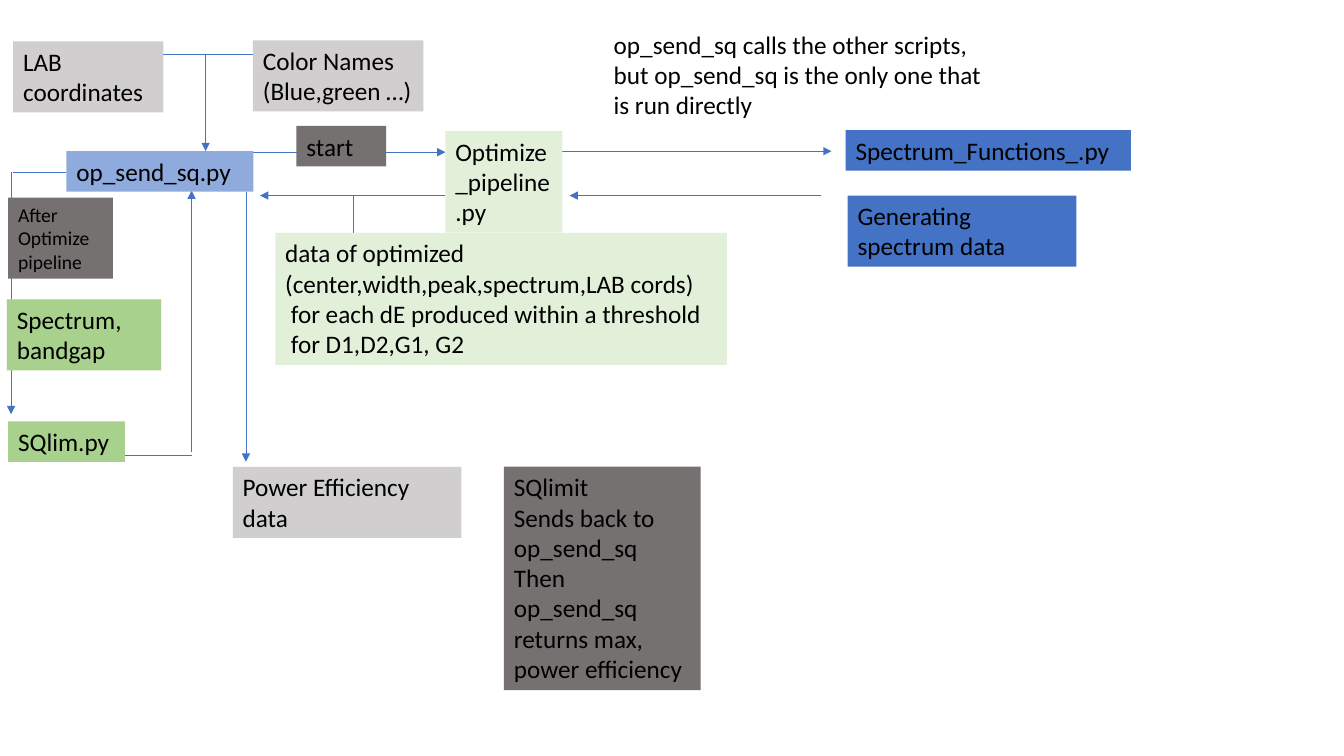
"""Draws the flow of calls and data between the op_send_sq scripts."""
from typing import NamedTuple, Optional

from lxml.etree import SubElement
from pptx import Presentation
from pptx.dml.color import RGBColor as Rgb
from pptx.enum.shapes import MSO_CONNECTOR as Conn, MSO_SHAPE as Form
from pptx.enum.text import MSO_ANCHOR as Anchor, PP_ALIGN as Align
from pptx.oxml.ns import qn
from pptx.slide import Slide
from pptx.util import Pt

BLACK = Rgb(0x00, 0x00, 0x00)
SILVER = Rgb(0xD0, 0xCE, 0xCE)
GREY = Rgb(0x76, 0x71, 0x71)
BLUE = Rgb(0x44, 0x72, 0xC4)
SKY = Rgb(0x8F, 0xAA, 0xDC)
GREEN = Rgb(0xA9, 0xD1, 0x8E)
MINT = Rgb(0xE2, 0xF0, 0xD9)

FONT = "Calibri"
PAD_X, PAD_Y = 7.2, 3.6
PITCH = 1.21


class Box(NamedTuple):
    left: float
    top: float
    width: float
    rows: int
    fill: Optional[Rgb]
    paras: tuple[str, ...]
    size: float = 18


class Link(NamedTuple):
    x1: float
    y1: float
    x2: float
    y2: float
    arrow: bool = True


LINKS = (
    Link(116.6, 38.9, 181.4, 38.9, False),
    Link(146.9, 38.9, 146.9, 108),
    Link(177.8, 108.7, 318.2, 108.7),
    Link(401, 108, 594, 108),
    Link(586.1, 139.7, 406.8, 139.7),
    Link(318.2, 139.7, 185.8, 139.7),
    Link(252.7, 166.3, 252.7, 139.7, False),
    Link(47.5, 123.1, 9.4, 123.1, False),
    Link(7.9, 123.1, 7.9, 295.9),
    Link(136.8, 325.4, 89.3, 325.4, False),
    Link(136.8, 322.6, 136.8, 136.1),
    Link(175.7, 137.5, 175.7, 329.8),
)

BOXES = (
    Box(9.4, 29.5, 107.3, 2, SILVER, ("LAB coordinates",)),
    Box(180.7, 28.8, 121.7, 2, SILVER, ("Color Names (Blue,green …)",)),
    Box(47.5, 108, 133.5, 1, SKY, ("op_send_sq.py",)),
    Box(318.2, 93.6, 83.5, 3, MINT, ("Optimize_pipeline.py",)),
    Box(196.6, 166.3, 322.6, 4, MINT, (
        "data of optimized (center,width,peak,spectrum,LAB cords)",
        " for each dE produced within a threshold",
        " for D1,D2,G1, G2")),
    Box(5, 213.8, 110.2, 2, GREEN, ("Spectrum, bandgap",)),
    Box(5.8, 301, 83.5, 1, GREEN, ("SQlim.py",)),
    Box(166.3, 333.4, 163.4, 2, SILVER, ("Power Efficiency data",)),
    Box(360, 333.4, 140.4, 7, GREY, (
        "SQlimit",
        "Sends back to op_send_sq",
        "Then op_send_sq returns max, power efficiency")),
    Box(431.3, 17.3, 288.7, 3, None, (
        "op_send_sq calls the other scripts, but op_send_sq "
        "is the only one that is run directly",)),
    Box(604.1, 92.9, 203.8, 1, BLUE, ("Spectrum_Functions_.py",)),
    Box(605.5, 139.7, 163.4, 2, BLUE, ("Generating spectrum data",)),
    Box(211.7, 90, 64.1, 1, GREY, ("start",)),
    Box(5.8, 141.1, 74.9, 3, GREY, ("After Optimize pipeline",), 14),
)


def draw_link(slide: Slide, link: Link) -> None:
    """Draw one thin line, with an arrowhead at its end if asked."""
    line = slide.shapes.add_connector(
        Conn.STRAIGHT, Pt(link.x1), Pt(link.y1), Pt(link.x2), Pt(link.y2))
    line.line.color.rgb = BLUE
    line.line.width = Pt(0.5)
    if link.arrow:
        SubElement(line.line._get_or_add_ln(), qn("a:tailEnd"), type="triangle")
    SubElement(line._element.spPr, qn("a:effectLst"))


def draw_box(slide: Slide, box: Box) -> None:
    """Draw one box as tall as its rows of text."""
    area = (Pt(box.left), Pt(box.top), Pt(box.width),
            Pt(2 * PAD_Y + box.rows * box.size * PITCH))
    if box.fill is None:
        shape = slide.shapes.add_textbox(*area)
    else:
        shape = slide.shapes.add_shape(Form.RECTANGLE, *area)
        shape.shadow.inherit = False
        shape.fill.solid()
        shape.fill.fore_color.rgb = box.fill
        shape.line.fill.background()
    frame = shape.text_frame
    frame.word_wrap = True
    frame.vertical_anchor = Anchor.TOP
    frame.margin_left = frame.margin_right = Pt(PAD_X)
    frame.margin_top = frame.margin_bottom = Pt(PAD_Y)
    for i, text in enumerate(box.paras):
        para = frame.add_paragraph() if i else frame.paragraphs[0]
        para.alignment = Align.LEFT
        run = para.add_run()
        run.text = text
        run.font.name = FONT
        run.font.size = Pt(box.size)
        run.font.color.rgb = BLACK


def main() -> None:
    """Build the slide and save it."""
    deck = Presentation()
    deck.slide_width, deck.slide_height = Pt(960), Pt(540)
    slide = deck.slides.add_slide(deck.slide_layouts[6])
    for link in LINKS:
        draw_link(slide, link)
    for box in BOXES:
        draw_box(slide, box)
    deck.save("out.pptx")


main()
